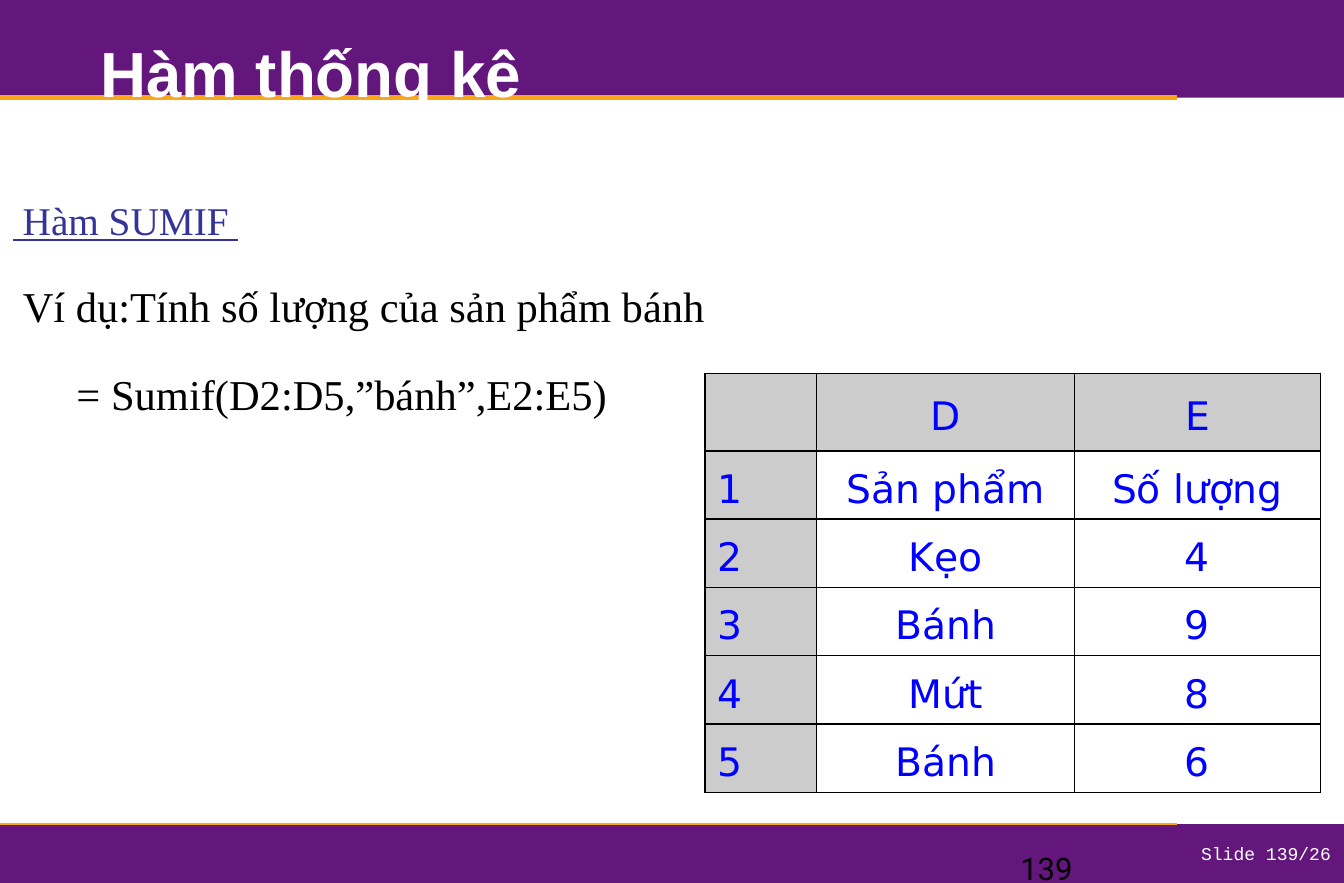
from dataclasses import dataclass

from lxml.etree import SubElement
from pptx import Presentation
from pptx.dml.color import RGBColor as RGB
from pptx.enum.shapes import MSO_CONNECTOR, MSO_SHAPE
from pptx.enum.text import MSO_ANCHOR, MSO_AUTO_SIZE, PP_ALIGN
from pptx.oxml.ns import qn
from pptx.util import Inches, Pt


@dataclass(frozen=True)
class Theme:
    purple: str = "63177C"
    orange: str = "FAA61A"
    white: str = "FFFFFF"
    black: str = "000000"
    heading: str = "333399"
    grey: str = "CCCCCC"
    blue: str = "0000FF"
    title_size: int = 39
    heading_size: int = 24
    body_size: int = 26
    table_size: int = 24
    number_size: int = 19
    footer_size: int = 11


T = Theme()


def add_run(p, text, font, size, color, bold=False, underline=False):
    r = p.add_run()
    r.text = text
    r.font.name, r.font.size = font, Pt(size)
    r.font.color.rgb = RGB.from_string(color)
    r.font.bold, r.font.underline = bold, underline


def set_indent(p, left, first):
    """Set a left margin and a first-line indent, both in inches."""
    pPr = p._p.get_or_add_pPr()
    pPr.set("marL", str(Inches(left)))
    pPr.set("indent", str(Inches(first)))


prs = Presentation()
prs.slide_width, prs.slide_height = Inches(11.42), Inches(7.5)
s = prs.slides.add_slide(prs.slide_layouts[1])

# Header and footer bands with their rules
for top, height, rule_y, weight in ((0, 0.83, 0.83, 3), (7, 0.5, 7, 1.5)):
    band = s.shapes.add_shape(MSO_SHAPE.RECTANGLE, 0, Inches(top),
                              prs.slide_width, Inches(height))
    band.shadow.inherit = False
    band.fill.solid()
    band.fill.fore_color.rgb = RGB.from_string(T.purple)
    band.line.fill.background()
    rule = s.shapes.add_connector(MSO_CONNECTOR.STRAIGHT, 0, Inches(rule_y),
                                  Inches(10), Inches(rule_y))
    rule.line.color.rgb = RGB.from_string(T.orange)
    rule.line.width = Pt(weight)
    SubElement(rule.element.spPr, qn("a:effectLst"))

# The last band is the footer
tf = band.text_frame
tf.margin_left = tf.margin_right = Inches(0.11)
tf.vertical_anchor = MSO_ANCHOR.MIDDLE
p = tf.paragraphs[0]
p.alignment = PP_ALIGN.RIGHT
add_run(p, "Slide 139/26", "Courier New", T.footer_size, T.white)

number = s.shapes.add_textbox(Inches(8.56), Inches(7.17), Inches(2.66), Inches(0.33))
tf = number.text_frame
tf.word_wrap = True
tf.margin_left = tf.margin_right = Inches(0.11)
add_run(tf.paragraphs[0], "139", "Roboto", T.number_size, T.black)

# Title and body, brought in front of the bands
title, body = s.shapes.title, s.placeholders[1]
for sp, box, margins in ((title, (0.7, 0.25, 10.72, 0.72), (0, 0)),
                         (body, (0, 1.5, 6.73, 2.54), (0.11, 0.05))):
    sp.left, sp.top, sp.width, sp.height = map(Inches, box)
    sp.element.getparent().append(sp.element)
    tf = sp.text_frame
    tf.auto_size = MSO_AUTO_SIZE.NONE
    tf.margin_left = tf.margin_right = Inches(margins[0])
    tf.margin_top = tf.margin_bottom = Inches(margins[1])

title.text_frame.vertical_anchor = MSO_ANCHOR.MIDDLE
p = title.text_frame.paragraphs[0]
p.alignment = PP_ALIGN.LEFT
add_run(p, " Hàm thống kê", "Arial", T.title_size, T.white, bold=True)

body_lines = (
    (0, 0, 0.41, -0.41, T.heading_size, T.heading, True, " Hàm SUMIF "),
    (0, 13, 0.41, -0.41, T.body_size, T.black, False,
     " Ví dụ:Tính số lượng của sản phẩm bánh"),
    (1, 13, 0.88, -0.34, T.body_size, T.black, False,
     "= Sumif(D2:D5,”bánh”,E2:E5)"),
)
tf = body.text_frame
for i, (level, before, left, first, size, color, underline, text) in enumerate(body_lines):
    p = tf.add_paragraph() if i else tf.paragraphs[0]
    p.level = level
    p.line_spacing, p.space_before = 1.3, Pt(before)
    set_indent(p, left, first)
    SubElement(p._p.get_or_add_pPr(), qn("a:buNone"))
    add_run(p, text, "Times New Roman", size, color, underline=underline)

# Worksheet table
sheet = (
    ("", "D", "E"),
    ("1", "Sản phẩm", "Số lượng"),
    ("2", "Kẹo", "4"),
    ("3", "Bánh", "9"),
    ("4", "Mứt", "8"),
    ("5", "Bánh", "6"),
)
col_widths = (0.95, 2.19, 2.09)
row_heights = (0.66,) + (0.58,) * 5
table = s.shapes.add_table(len(sheet), len(col_widths), Inches(5.99), Inches(3.17),
                           Inches(sum(col_widths)), Inches(sum(row_heights))).table
table.first_row = table.horz_banding = False
for col, width in zip(table.columns, col_widths):
    col.width = Inches(width)
for i, (values, height) in enumerate(zip(sheet, row_heights)):
    table.rows[i].height = Inches(height)
    for j, text in enumerate(values):
        cell = table.cell(i, j)
        cell.vertical_anchor = MSO_ANCHOR.MIDDLE
        cell.margin_left = cell.margin_right = Inches(0.11)
        cell.margin_top = cell.margin_bottom = Inches(0.05)
        tcPr = cell._tc.get_or_add_tcPr()
        for side in ("lnL", "lnR", "lnT", "lnB"):
            ln = SubElement(tcPr, qn(f"a:{side}"), w=str(Pt(1)))
            SubElement(SubElement(ln, qn("a:solidFill")), qn("a:srgbClr"), val=T.black)
        if i == 0 or j == 0:
            cell.fill.solid()
            cell.fill.fore_color.rgb = RGB.from_string(T.grey)
        else:
            cell.fill.background()
        if text:
            p = cell.text_frame.paragraphs[0]
            p.alignment = PP_ALIGN.CENTER if j else PP_ALIGN.JUSTIFY
            p.line_spacing = 1.2
            set_indent(p, 0.38, -0.38)
            add_run(p, text, "DejaVu Sans", T.table_size, T.blue)

prs.save("out.pptx")
